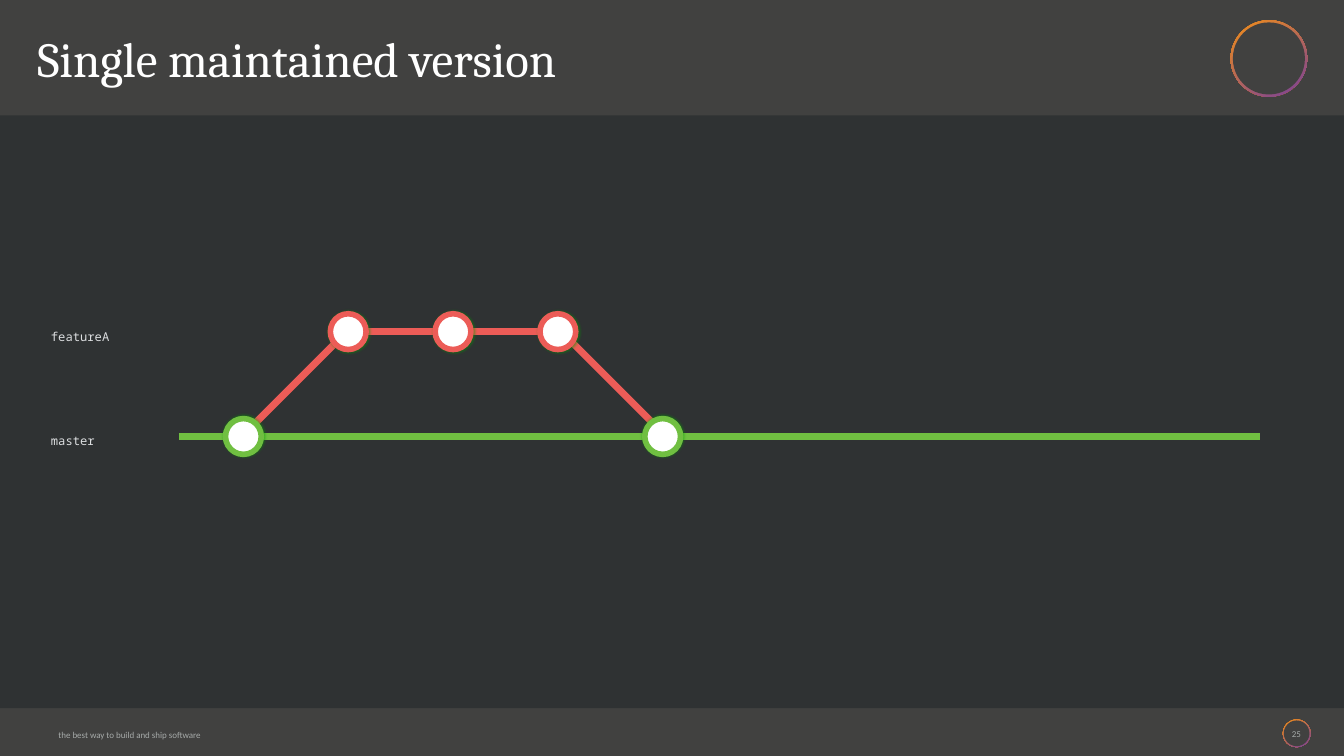
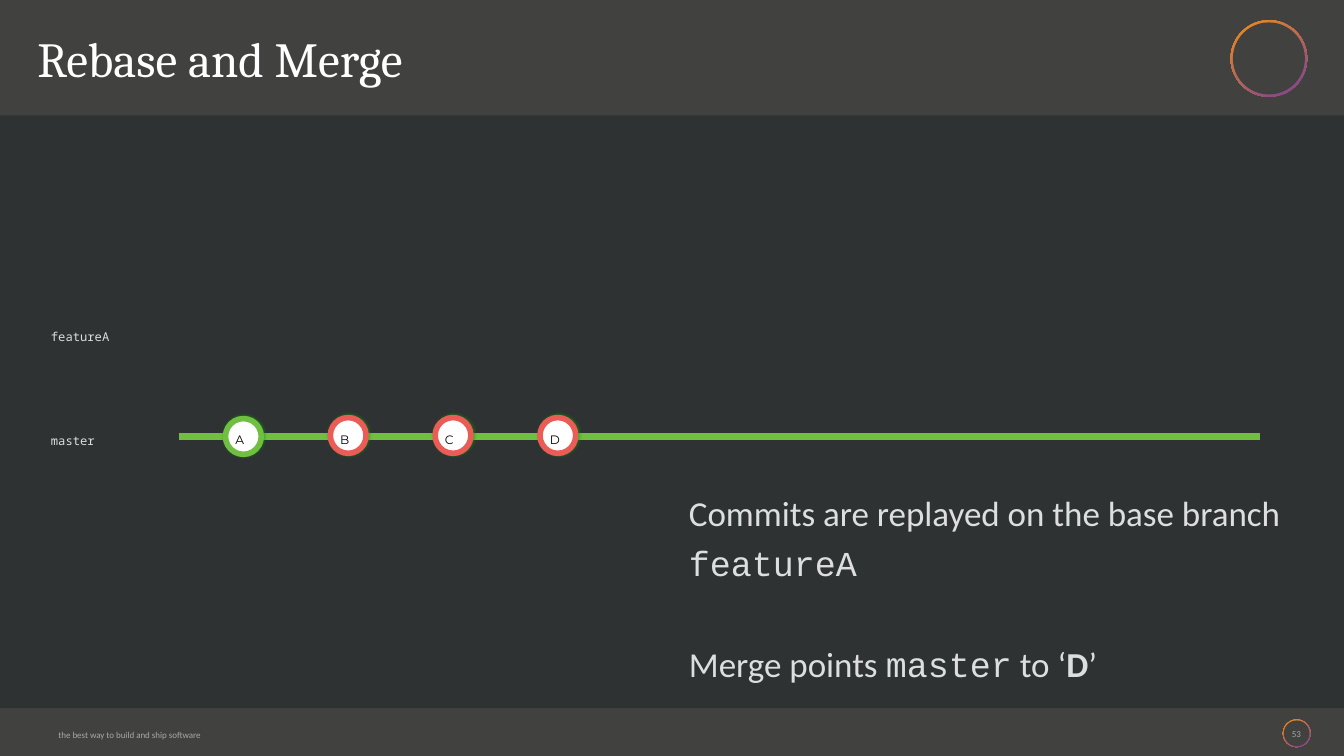
from dataclasses import dataclass
from lxml import etree
from pptx import Presentation
from pptx import util as u
from pptx.dml import color
from pptx.enum import shapes, text
from pptx.oxml import ns

STEP = 2.08
LEFT = 4.83
MAIN = 8.66
SIDE = MAIN - STEP
COLS = [LEFT + STEP * i for i in range(5)]


@dataclass(frozen=True)
class Type:
    font: str
    size: int
    tint: str
    lift: int = 0
    track: int = 0


@dataclass(frozen=True)
class Theme:
    band: str = "414140"
    field: str = "2F3233"
    white: str = "FFFFFF"
    red: str = "EC5C57"
    green: str = "70BF41"
    glow: str = "009E00"
    warm: str = "F38F18"
    cool: str = "773F9B"
    rail: int = 10
    rim: int = 8
    title: Type = Type("Cambria", 70, "FFFFFF")
    small: Type = Type("Calibri", 22, "A6AAA9", 1000)
    label: Type = Type("Noto Sans Mono", 30, "DCDEE0", 1000)
    mark: Type = Type("Montserrat", 30, "000000", 7000, 30)
    body: Type = Type("Calibri", 50, "DCDEE0")
    code: Type = Type("Courier New", 50, "DCDEE0")


def rgb(tint):
    return color.RGBColor.from_string(tint)


class Deck:
    def __init__(self, theme):
        self.theme = theme
        self.file = Presentation()
        self.file.slide_width = u.Inches(26.67)
        self.file.slide_height = u.Inches(15)
        fill = self.file.slide_master.background.fill
        fill.solid()
        fill.fore_color.rgb = rgb(theme.band)
        self.slide = None

    def start(self, title, page):
        self.slide = self.file.slides.add_slide(self.file.slide_layouts[5])
        self.ring(25.73, 14.55, 0.55, 0.02)
        self.ring(25.18, 1.16, 1.52, 0.045)
        self.text(1.1, 14.27, 5.04, 0.5,
                  "the best way to build and ship software", self.theme.small)
        self.shape(shapes.MSO_SHAPE.RECTANGLE, -0.05, 2.29, 26.77, 11.76,
                   self.theme.field)
        self.title(title)
        num = self.text(25.5, 14.27, 0.45, 0.5, page, self.theme.small)
        num.vertical_anchor = text.MSO_ANCHOR.TOP
        num.paragraphs[0].alignment = text.PP_ALIGN.CENTER
        num.paragraphs[0].line_spacing = 1.0

    def place(self, shape, x, y, w, h):
        shape.left, shape.top = u.Inches(x), u.Inches(y)
        shape.width, shape.height = u.Inches(w), u.Inches(h)

    def inset(self, frame):
        frame.margin_left = frame.margin_right = u.Inches(0.06)
        frame.margin_top = frame.margin_bottom = u.Inches(0.06)

    def style(self, run, kind, bold=False):
        font = run.font
        font.name, font.size, font.bold = kind.font, u.Pt(kind.size), bold
        font.color.rgb = rgb(kind.tint)
        props = run._r.get_or_add_rPr()
        if kind.lift:
            props.set("baseline", str(kind.lift))
        if kind.track:
            props.set("spc", str(kind.track))

    def title(self, words):
        head = self.slide.shapes.title
        self.place(head, 0.68, 0.51, 22.97, 1.52)
        frame = head.text_frame
        frame.text = words
        frame.word_wrap = True
        frame.auto_size = text.MSO_AUTO_SIZE.NONE
        frame.vertical_anchor = text.MSO_ANCHOR.TOP
        self.inset(frame)
        frame.paragraphs[0].alignment = text.PP_ALIGN.LEFT
        self.style(frame.paragraphs[0].runs[0], self.theme.title)

    def text(self, x, y, w, h, words, kind):
        box = self.slide.shapes.add_textbox(
            u.Inches(x), u.Inches(y), u.Inches(w), u.Inches(h))
        frame = box.text_frame
        frame.text = words
        frame.word_wrap = False
        frame.auto_size = text.MSO_AUTO_SIZE.SHAPE_TO_FIT_TEXT
        frame.vertical_anchor = text.MSO_ANCHOR.MIDDLE
        self.inset(frame)
        line = frame.paragraphs[0]
        line.line_spacing = 1.1
        self.style(line.runs[0], kind)
        return frame

    def prose(self, x, y, w, h, lines, gap):
        box = self.slide.shapes.add_textbox(
            u.Inches(x), u.Inches(y), u.Inches(w), u.Inches(h))
        frame = box.text_frame
        frame.word_wrap = True
        self.inset(frame)
        for i, parts in enumerate(lines):
            line = frame.add_paragraph() if i else frame.paragraphs[0]
            line.line_spacing = 1.2
            line.space_before = u.Pt(gap if i else 0)
            for words, kind, bold in parts:
                run = line.add_run()
                run.text = words
                self.style(run, kind, bold)

    def shape(self, kind, x, y, w, h, tint):
        item = self.slide.shapes.add_shape(
            kind, u.Inches(x), u.Inches(y), u.Inches(w), u.Inches(h))
        item.shadow.inherit = False
        item.fill.solid()
        item.fill.fore_color.rgb = rgb(tint)
        item.line.fill.background()
        return item

    def disc(self, x, y, size, tint):
        return self.shape(shapes.MSO_SHAPE.OVAL, x - size / 2, y - size / 2,
                          size, size, tint)

    def ring(self, x, y, size, rim):
        fill = self.disc(x, y, size, self.theme.warm).fill
        fill.gradient()
        fill.gradient_angle = 303
        for stop, spot, tint in zip(fill.gradient_stops, (0, 1),
                                    (self.theme.warm, self.theme.cool)):
            stop.position = spot
            stop.color.rgb = rgb(tint)
        self.disc(x, y, size - 2 * rim, self.theme.band)

    def commit(self, x, y, tint):
        dot = self.disc(x, y, 0.71, self.theme.white)
        dot.line.color.rgb = rgb(tint)
        dot.line.width = u.Pt(self.theme.rim)
        effect = dot._element.spPr.find(ns.qn("a:effectLst"))
        glow = etree.SubElement(
            effect, ns.qn("a:outerShdw"), blurRad=str(u.Pt(4)),
            dist=str(u.Pt(1)), dir="0", rotWithShape="0")
        tone = etree.SubElement(glow, ns.qn("a:srgbClr"), val=self.theme.glow)
        etree.SubElement(tone, ns.qn("a:alpha"), val="50000")

    def rail(self, x1, y1, x2, y2, tint):
        line = self.slide.shapes.add_connector(
            shapes.MSO_CONNECTOR.STRAIGHT,
            u.Inches(x1), u.Inches(y1), u.Inches(x2), u.Inches(y2))
        line.line.color.rgb = rgb(tint)
        line.line.width = u.Pt(self.theme.rail)
        etree.SubElement(line._element.spPr, ns.qn("a:effectLst"))

    def trunk(self):
        self.rail(3.55, MAIN, 25, MAIN, self.theme.green)
        self.text(0.95, 6.3, 1.79, 0.56, "featureA", self.theme.label)
        self.text(0.95, 8.38, 1.38, 0.56, "master", self.theme.label)


def single(deck):
    theme = deck.theme
    deck.start("Single maintained version", "25")
    deck.rail(11.25, 6.69, 13.14, 8.58, theme.red)
    deck.rail(4.8, MAIN, 6.74, 6.72, theme.red)
    deck.rail(6.87, SIDE, 11.13, SIDE, theme.red)
    deck.trunk()
    for x in COLS[1:4]:
        deck.commit(x, SIDE, theme.red)
    for x in (COLS[0], COLS[4]):
        deck.commit(x, MAIN, theme.green)


def rebase(deck):
    theme = deck.theme
    deck.start("Rebase and Merge", "53")
    deck.trunk()
    for x, name in zip(COLS, "ABCD"):
        first = name == "A"
        deck.commit(x, MAIN if first else MAIN - 0.02,
                    theme.green if first else theme.red)
        deck.text(x - 0.22, 8.29, 0.45, 0.72, name, theme.mark)
    deck.prose(13.61, 9.52, 11.89, 4.28, [
        [("Commits are replayed on the base branch ", theme.body, False),
         ("featureA", theme.code, False)],
        [("Merge points ", theme.body, False),
         ("master", theme.code, False),
         (" to ‘", theme.body, False),
         ("D", theme.body, True),
         ("’", theme.body, False)],
    ], 72)


def main():
    deck = Deck(Theme())
    single(deck)
    rebase(deck)
    deck.file.save("out.pptx")


if __name__ == "__main__":
    main()
